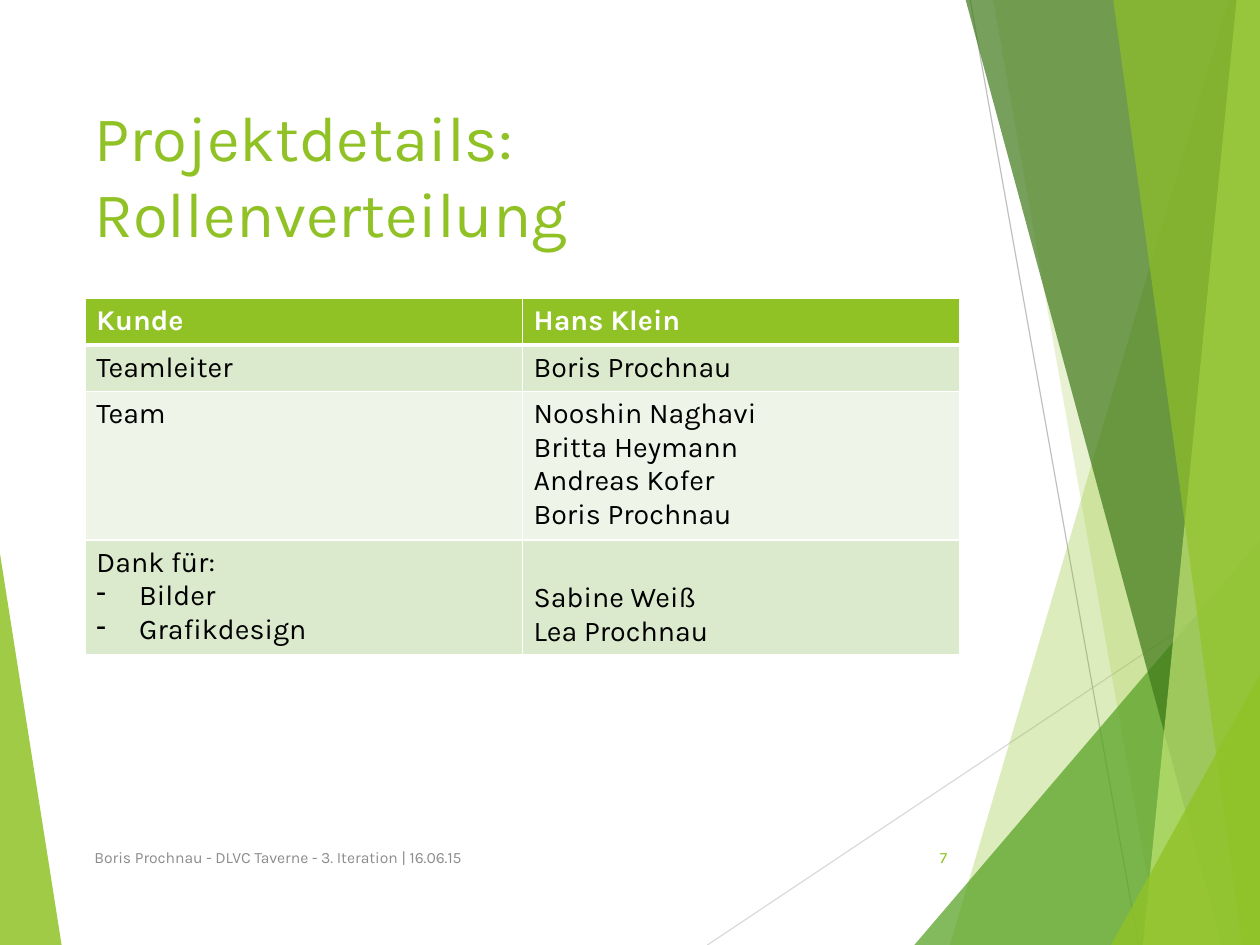
"""Builds the slide that lists who holds which role in the project."""
from typing import NamedTuple

from lxml.etree import SubElement
from pptx import Presentation
from pptx.dml.color import RGBColor
from pptx.enum.shapes import MSO_CONNECTOR
from pptx.enum.text import MSO_ANCHOR, PP_ALIGN
from pptx.oxml import parse_xml
from pptx.oxml.ns import nsdecls, qn
from pptx.slide import Slide
from pptx.table import _Cell
from pptx.text.text import _Paragraph
from pptx.util import Cm, Pt

WIDTH, HEIGHT = 28, 21
MARGIN, CONTENT_WIDTH = 1.85, 19.43
FONT = "Karla"
COLORS = {
    "lime": "90C226",
    "green": "54A021",
    "forest": "3F7819",
    "pale lime": "C0E474",
    "light line": "D9D9D9",
    "line": "BFBFBF",
    "footer": "8C8C8C",
    "band dark": "DBE9CD",
    "band light": "EEF4E8",
    "white": "FFFFFF",
    "black": "000000",
}


class Facet(NamedTuple):
    color: str
    opacity: int
    points: list[tuple[float, float]]


class Ray(NamedTuple):
    color: str
    start: tuple[float, float]
    end: tuple[float, float]


class Label(NamedTuple):
    text: str
    left: float
    top: float
    width: float
    height: float
    size: float
    color: str
    align: PP_ALIGN = PP_ALIGN.LEFT


class Role(NamedTuple):
    task: list[str]
    people: list[str]
    height: float
    fill: str
    color: str = "black"
    bold: bool = False


def right_band(top_x: float, bottom_x: float) -> list[tuple[float, float]]:
    """Return the outline between a slanted edge and the right slide edge."""
    return [(top_x, 0), (bottom_x, HEIGHT), (WIDTH, HEIGHT), (WIDTH, 0)]


def corner(bottom_x: float, right_y: float) -> list[tuple[float, float]]:
    """Return a triangle in the bottom right corner."""
    return [(bottom_x, HEIGHT), (WIDTH, right_y), (WIDTH, HEIGHT)]


LEFT_FACET = Facet("lime", 85, [(0, 12.3), (1.37, HEIGHT), (0, HEIGHT)])
RAYS = [
    Ray("light line", (15.72, HEIGHT), (WIDTH, 12.8)),
    Ray("line", (21.56, 0), (25.3, HEIGHT)),
]
RIGHT_FACETS = [
    Facet("lime", 30, right_band(27.3, 21.11)),
    Facet("lime", 20, right_band(22.07, 25.76)),
    Facet("green", 72, corner(20.32, 12.01)),
    Facet("forest", 70, right_band(21.46, 27.15)),
    Facet("pale lime", 70, right_band(27.48, 25.4)),
    Facet("lime", 65, right_band(24.74, 27.61)),
    Facet("lime", 80, corner(24.69, 14.99)),
]
LABELS = [
    Label("Projektdetails: Rollenverteilung", MARGIN, 1.85, CONTENT_WIDTH, 4.04, 40, "lime"),
    Label("Boris Prochnau - DLVC Taverne - 3. Iteration | 16.06.15",
          MARGIN, 18.49, 14.15, 1.12, 9.9, "footer"),
    Label("7", 19.73, 18.49, 1.57, 1.12, 9.9, "lime", PP_ALIGN.RIGHT),
]
TEAM = ["Nooshin Naghavi", "Britta Heymann", "Andreas Kofer", "Boris Prochnau"]
ROLES = [
    Role(["Kunde"], ["Hans Klein"], 1.03, "lime", "white", True),
    Role(["Teamleiter"], ["Boris Prochnau"], 1.03, "band dark"),
    Role(["Team"], TEAM, 3.24, "band light"),
    Role(["Dank für:", "- Bilder", "- Grafikdesign"], ["Sabine Weiß", "Lea Prochnau"],
         2.47, "band dark"),
]


def rgb(color: str) -> RGBColor:
    """Look up a named colour."""
    return RGBColor.from_string(COLORS[color])


def write(paragraph: _Paragraph, text: str, size: float, color: str, bold: bool = False) -> None:
    """Add one formatted run to a paragraph."""
    run = paragraph.add_run()
    run.text = text
    for attribute, value in {"name": FONT, "size": Pt(size), "bold": bold}.items():
        setattr(run.font, attribute, value)
    run.font.color.rgb = rgb(color)


def draw_facet(slide: Slide, facet: Facet) -> None:
    """Draw a translucent polygon."""
    start, *others = [(Cm(x), Cm(y)) for x, y in facet.points]
    builder = slide.shapes.build_freeform(*start)
    builder.add_line_segments(others)
    polygon = builder.convert_to_shape()
    polygon.shadow.inherit = False
    polygon.line.fill.background()
    polygon.fill.solid()
    polygon.fill.fore_color.rgb = rgb(facet.color)
    tint = polygon.fill._xPr.find(qn("a:solidFill"))[0]
    SubElement(tint, qn("a:alpha"), val=str(facet.opacity * 1000))


def draw_ray(slide: Slide, ray: Ray) -> None:
    """Draw a thin background line."""
    ends = [Cm(value) for value in (*ray.start, *ray.end)]
    connector = slide.shapes.add_connector(MSO_CONNECTOR.STRAIGHT, *ends)
    connector.line.width = Pt(0.75)
    connector.line.color.rgb = rgb(ray.color)
    SubElement(connector._element.spPr, qn("a:effectLst"))


def draw_label(slide: Slide, label: Label) -> None:
    """Draw a vertically centred text box."""
    bounds = [Cm(value) for value in (label.left, label.top, label.width, label.height)]
    frame = slide.shapes.add_textbox(*bounds).text_frame
    for attribute, value in {"word_wrap": True, "vertical_anchor": MSO_ANCHOR.MIDDLE}.items():
        setattr(frame, attribute, value)
    frame.paragraphs[0].alignment = label.align
    write(frame.paragraphs[0], label.text, label.size, label.color)


def add_dash(paragraph: _Paragraph) -> None:
    """Give a paragraph a dash bullet with a hanging indent."""
    properties = paragraph._p.get_or_add_pPr()
    properties.set("marL", str(Cm(0.95)))
    properties.set("indent", str(-Cm(0.95)))
    SubElement(properties, qn("a:buChar"), char="-")


def set_borders(cell: _Cell, top: int, bottom: int) -> None:
    """Give a cell white borders of the stated point widths."""
    widths = {"lnL": 1, "lnR": 1, "lnT": top, "lnB": bottom}
    for position, (side, width) in enumerate(widths.items()):
        border = parse_xml(
            f'<a:{side} {nsdecls("a")} w="{Pt(width)}"><a:solidFill>'
            f'<a:srgbClr val="{COLORS["white"]}"/></a:solidFill></a:{side}>'
        )
        cell._tc.get_or_add_tcPr().insert(position, border)


def fill_cell(cell: _Cell, lines: list[str], role: Role) -> None:
    """Write the lines of a cell and colour it."""
    cell.fill.solid()
    cell.fill.fore_color.rgb = rgb(role.fill)
    for number, line in enumerate(lines):
        frame = cell.text_frame
        paragraph = frame.add_paragraph() if number else frame.paragraphs[0]
        if line.startswith("- "):
            add_dash(paragraph)
        write(paragraph, line.removeprefix("- "), 18, role.color, role.bold)


def draw_roles(slide: Slide) -> None:
    """Draw the table of roles."""
    total = sum(role.height for role in ROLES)
    bounds = [Cm(value) for value in (MARGIN + 0.04, 6.64, CONTENT_WIDTH, total)]
    table = slide.shapes.add_table(len(ROLES), 2, *bounds).table
    for index, role in enumerate(ROLES):
        table.rows[index].height = Cm(role.height)
        for column, lines in enumerate((role.task, role.people)):
            cell = table.cell(index, column)
            fill_cell(cell, lines, role)
            set_borders(cell, 3 if index == 1 else 1, 3 if index == 0 else 1)
    table.cell(len(ROLES) - 1, 1).vertical_anchor = MSO_ANCHOR.BOTTOM


def main() -> None:
    """Build and save the slide."""
    deck = Presentation()
    deck.slide_width, deck.slide_height = Cm(WIDTH), Cm(HEIGHT)
    slide = deck.slides.add_slide(deck.slide_layouts[6])
    draw_facet(slide, LEFT_FACET)
    for ray in RAYS:
        draw_ray(slide, ray)
    for facet in RIGHT_FACETS:
        draw_facet(slide, facet)
    for label in LABELS:
        draw_label(slide, label)
    draw_roles(slide)
    deck.save("out.pptx")


if __name__ == "__main__":
    main()
